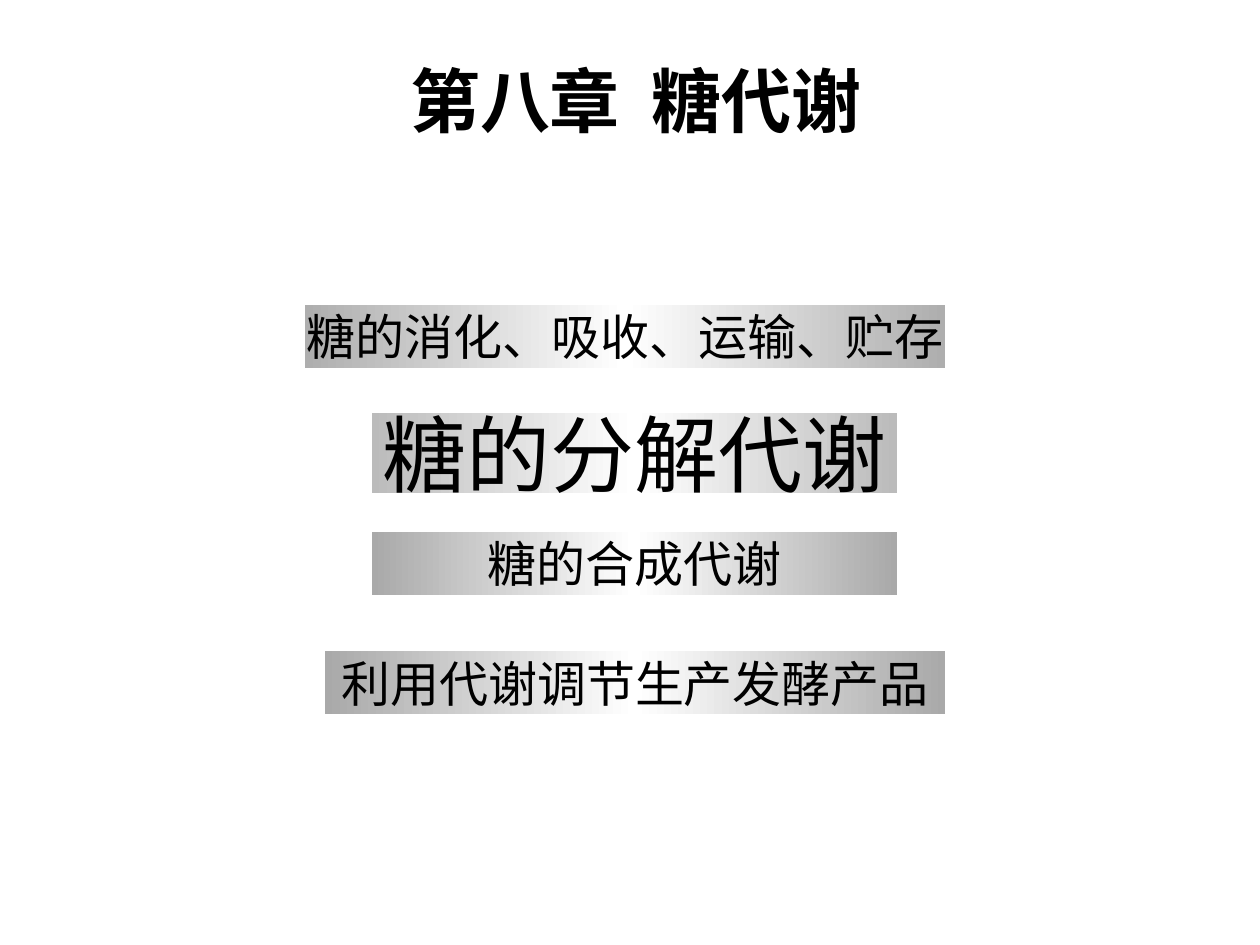
"""Build the chapter opening slide on sugar metabolism."""
from copy import deepcopy
from dataclasses import dataclass

from lxml.etree import SubElement as Sub
from pptx import Presentation as Deck
from pptx.dml.color import RGBColor as Color
from pptx.enum.shapes import MSO_SHAPE as Shape
from pptx.enum.text import MSO_ANCHOR as Anchor, PP_ALIGN as Align
from pptx.oxml.ns import qn
from pptx.util import Inches, Pt


@dataclass(frozen=True)
class Theme:
    ink: str = "000000"
    glow: str = "FFFFFF"
    light: str = "BBBBBB"
    mid: str = "AEAEAE"
    dark: str = "A9A9A9"
    head: int = 40
    large: int = 48
    body: int = 28
    face: str = "Noto Sans CJK SC"
    latin: str = "Arial"


class Page:
    def __init__(self, slide, theme):
        self.slide = slide
        self.theme = theme

    def label(self, frame, parts, size, face, bold=False, wrap=False):
        frame.word_wrap = wrap
        frame.vertical_anchor = Anchor.MIDDLE
        para = frame.paragraphs[0]
        para.alignment = Align.CENTER
        for text, gap in parts:
            run = para.add_run()
            run.text = text
            font = run.font
            font.size = Pt(size)
            font.bold = bold
            font.name = face
            font.color.rgb = Color.from_string(self.theme.ink)
            props = run._r.get_or_add_rPr()
            props.set("spc", str(gap * 100))
            Sub(props, qn("a:ea")).set("typeface", self.theme.face)

    def title(self, parts, left, top, width, height):
        box = self.slide.shapes.add_textbox(
            Inches(left), Inches(top), Inches(width), Inches(height))
        self.label(box.text_frame, parts, self.theme.head, self.theme.face,
                   bold=True, wrap=True)

    def bar(self, text, left, top, width, height, edge, size, face):
        bar = self.slide.shapes.add_shape(
            Shape.RECTANGLE, Inches(left), Inches(top), Inches(width), Inches(height))
        bar.shadow.inherit = False
        bar.line.fill.background()
        self.shade(bar, edge)
        self.label(bar.text_frame, [(text, 0)], size, face)

    def shade(self, bar, edge):
        bar.fill.gradient()
        bar.fill.gradient_angle = 0
        stops = bar._element.spPr.find(qn("a:gradFill")).find(qn("a:gsLst"))
        stops.insert(1, deepcopy(stops[0]))
        tones = (edge, self.theme.glow, edge)
        for stop, tone, place in zip(bar.fill.gradient_stops, tones, (0, 0.5, 1)):
            stop.color.rgb = Color.from_string(tone)
            stop.position = place


def main():
    deck = Deck()
    deck.slide_width, deck.slide_height = Inches(10), Inches(7.5)
    theme = Theme()
    page = Page(deck.slides.add_slide(deck.slide_layouts[6]), theme)
    page.title([("第八章", 0), (" ", 9), ("糖代谢", 0)], 0.42, 0.33, 9.25, 0.92)
    small = (theme.body, theme.face)
    large = (theme.large, theme.latin)
    bars = [
        ("糖的消化、吸收、运输、贮存", 2.42, 2.42, 5.08, 0.5, theme.mid, *small),
        ("糖的分解代谢", 2.95, 3.28, 4.17, 0.63, theme.light, *large),
        ("糖的合成代谢", 2.95, 4.22, 4.17, 0.5, theme.dark, *small),
        ("利用代谢调节生产发酵产品", 2.58, 5.17, 4.92, 0.5, theme.dark, *small),
    ]
    for bar in bars:
        page.bar(*bar)
    deck.save("out.pptx")


if __name__ == "__main__":
    main()
